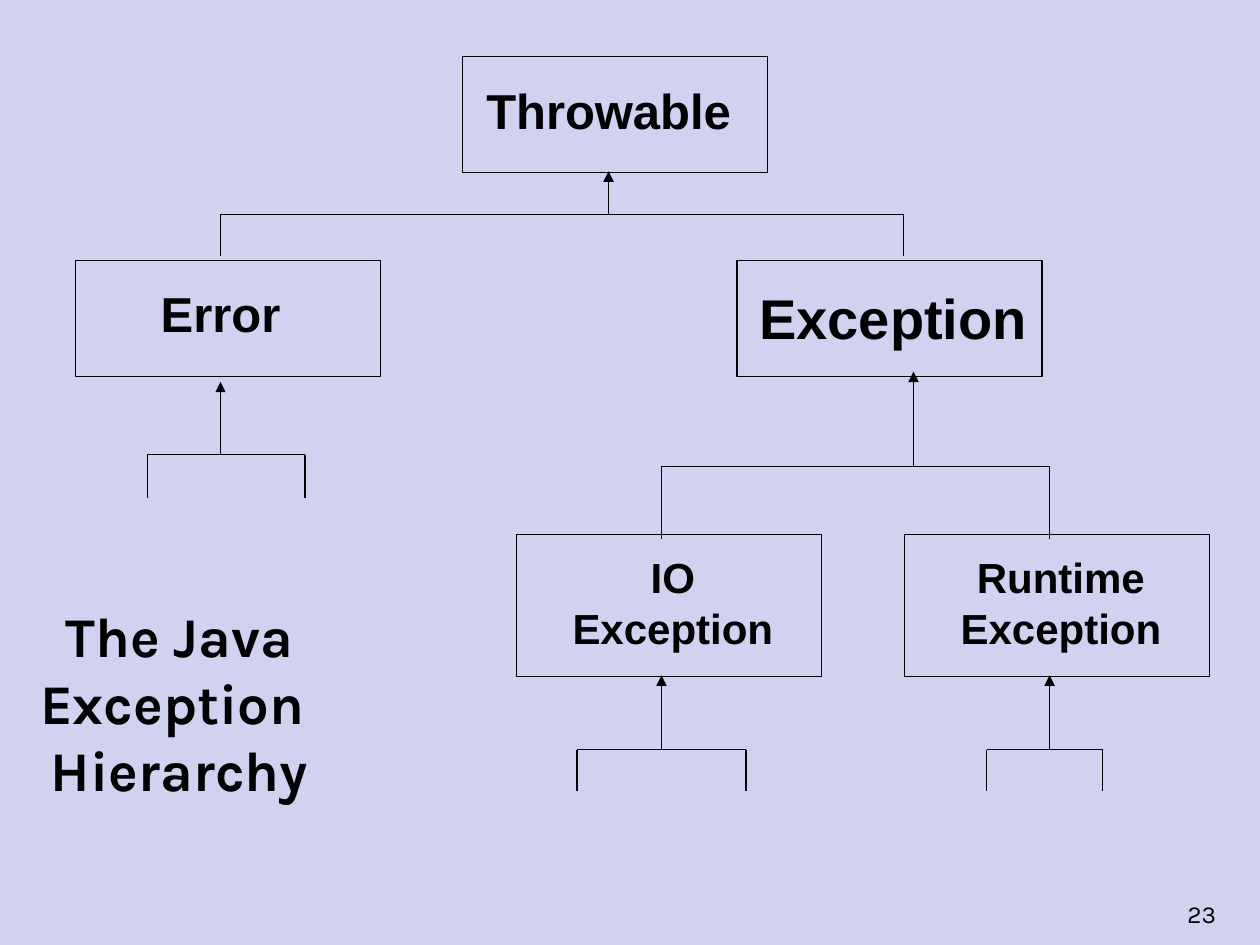
"""Build a slide showing the Java exception class hierarchy as a tree."""
from dataclasses import dataclass

import pptx
import pptx.dml.color
import pptx.enum.shapes
import pptx.enum.text
import pptx.oxml
import pptx.oxml.ns
import pptx.util

Inches = pptx.util.Inches
Alignment = pptx.enum.text.PP_ALIGN
Anchor = pptx.enum.text.MSO_ANCHOR


@dataclass(frozen=True)
class Theme:
    background: str = "D1D1F0"
    ink: str = "000000"
    label_font: str = "Arial"
    title_font: str = "Karla"
    title_size: int = 32
    root_size: int = 28
    large_size: int = 32
    leaf_size: int = 24
    number_size: int = 14
    line_width: float = 0.75


THEME = Theme()
TITLE = ["The Java", "Exception ", "Hierarchy"]
TITLE_AREA = (0.18, 4.72, 2.49, 1.7)
NUMBER = ["23"]
NUMBER_AREA = (7.67, 6.92, 2.08, 0.5)
BOX_WIDTH = 2.42
ROWS = {
    "root": {"top": 0.45, "height": 0.92, "label_offset": 0.14},
    "branch": {"top": 2.07, "height": 0.92, "label_offset": 0.13},
    "leaf": {"top": 4.24, "height": 1.13, "label_offset": 0.09},
}
CLASSES = [
    {"lines": ["Throwable"], "row": "root", "left": 3.67, "center": 4.83, "size": THEME.root_size},
    {"lines": ["Error"], "row": "branch", "left": 0.6, "center": 1.75, "size": THEME.root_size},
    {"lines": ["Exception"], "row": "branch", "left": 5.85, "center": 7.09, "size": THEME.large_size},
    {"lines": ["Runtime", "Exception"], "row": "leaf", "left": 7.18, "center": 8.42, "size": THEME.leaf_size},
    {"lines": ["IO", "Exception"], "row": "leaf", "left": 4.1, "center": 5.34, "size": THEME.leaf_size},
]
BRANCHES = [
    {"stem": 4.83, "tip": 1.36, "bar": 1.7, "foot": 2.03, "children": (1.75, 7.17)},
    {"stem": 7.25, "tip": 2.95, "bar": 3.7, "foot": 4.28, "children": (5.25, 8.33)},
    {"stem": 1.75, "tip": 3.03, "bar": 3.61, "foot": 3.95, "children": (1.17, 2.42)},
    {"stem": 5.25, "tip": 5.36, "bar": 5.95, "foot": 6.28, "children": (4.58, 5.92)},
    {"stem": 8.33, "tip": 5.36, "bar": 5.95, "foot": 6.28, "children": (7.83, 8.75)},
]


def color(value):
    return pptx.dml.color.RGBColor.from_string(value)


def write_text(shape, lines, *, font, size, bold=True, align=Alignment.CENTER,
               anchor=Anchor.TOP, wrap=False):
    frame = shape.text_frame
    frame.auto_size = pptx.enum.text.MSO_AUTO_SIZE.NONE
    frame.word_wrap = wrap
    frame.vertical_anchor = anchor
    for index, line in enumerate(lines):
        paragraph = frame.add_paragraph() if index else frame.paragraphs[0]
        paragraph.alignment = align
        run = paragraph.add_run()
        run.text = line
        run.font.name = font
        run.font.size = pptx.util.Pt(size)
        run.font.bold = bold
        run.font.color.rgb = color(THEME.ink)


def style_line(line):
    line.color.rgb = color(THEME.ink)
    line.width = pptx.util.Pt(THEME.line_width)


def add_class(slide, lines, row, left, center, size):
    place = ROWS[row]
    box = slide.shapes.add_shape(
        pptx.enum.shapes.MSO_SHAPE.RECTANGLE, Inches(left), Inches(place["top"]),
        Inches(BOX_WIDTH), Inches(place["height"]))
    box.shadow.inherit = False
    box.fill.background()
    style_line(box.line)
    label_width = BOX_WIDTH - 0.1
    label_height = 0.1 + len(lines) * size / 60
    label = slide.shapes.add_textbox(
        Inches(center - label_width / 2), Inches(place["top"] + place["label_offset"]),
        Inches(label_width), Inches(label_height))
    write_text(label, lines, font=THEME.label_font, size=size)


def add_line(slide, start, end, arrow=False):
    connector = slide.shapes.add_connector(
        pptx.enum.shapes.MSO_CONNECTOR.STRAIGHT, *map(Inches, start + end))
    style_line(connector.line)
    properties = connector._element.spPr
    if arrow:
        head = pptx.oxml.parse_xml(
            f'<a:tailEnd {pptx.oxml.ns.nsdecls("a")} type="triangle"/>')
        properties.find(pptx.oxml.ns.qn("a:ln")).append(head)
    properties.append(pptx.oxml.parse_xml(f'<a:effectLst {pptx.oxml.ns.nsdecls("a")}/>'))


def add_branch(slide, stem, tip, bar, foot, children):
    first, last = children
    add_line(slide, (first, bar), (last, bar))
    for child in children:
        add_line(slide, (child, bar), (child, foot))
    add_line(slide, (stem, bar), (stem, tip), arrow=True)


def main():
    presentation = pptx.Presentation()
    presentation.slide_width = Inches(10)
    presentation.slide_height = Inches(7.5)
    slide = presentation.slides.add_slide(presentation.slide_layouts.get_by_name("Title Only"))
    slide.background.fill.solid()
    slide.background.fill.fore_color.rgb = color(THEME.background)

    title = slide.shapes.title
    title.left, title.top, title.width, title.height = map(Inches, TITLE_AREA)
    write_text(title, TITLE, font=THEME.title_font, size=THEME.title_size)

    number = slide.shapes.add_textbox(*map(Inches, NUMBER_AREA))
    write_text(number, NUMBER, font=THEME.title_font, size=THEME.number_size, bold=False,
               align=Alignment.RIGHT, anchor=Anchor.BOTTOM, wrap=True)

    for item in CLASSES:
        add_class(slide, **item)
    for branch in BRANCHES:
        add_branch(slide, **branch)
    presentation.save("out.pptx")


if __name__ == "__main__":
    main()
